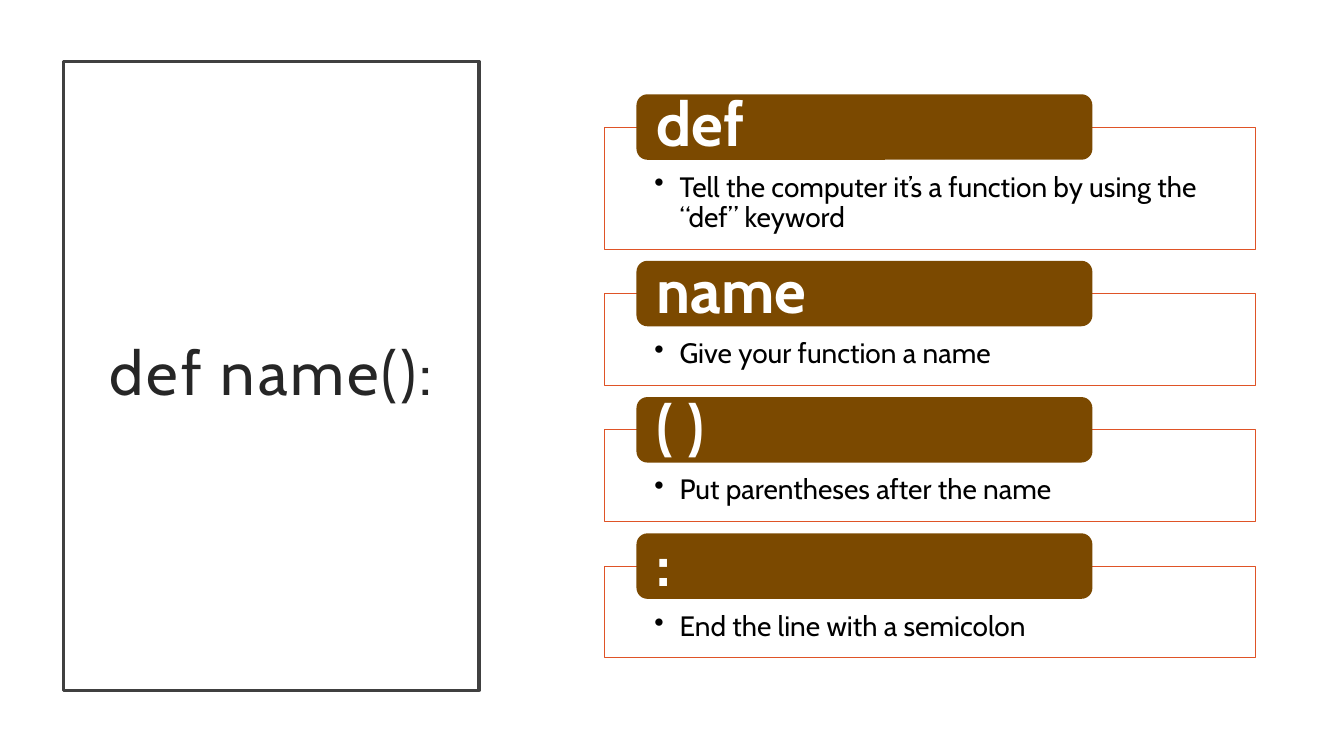
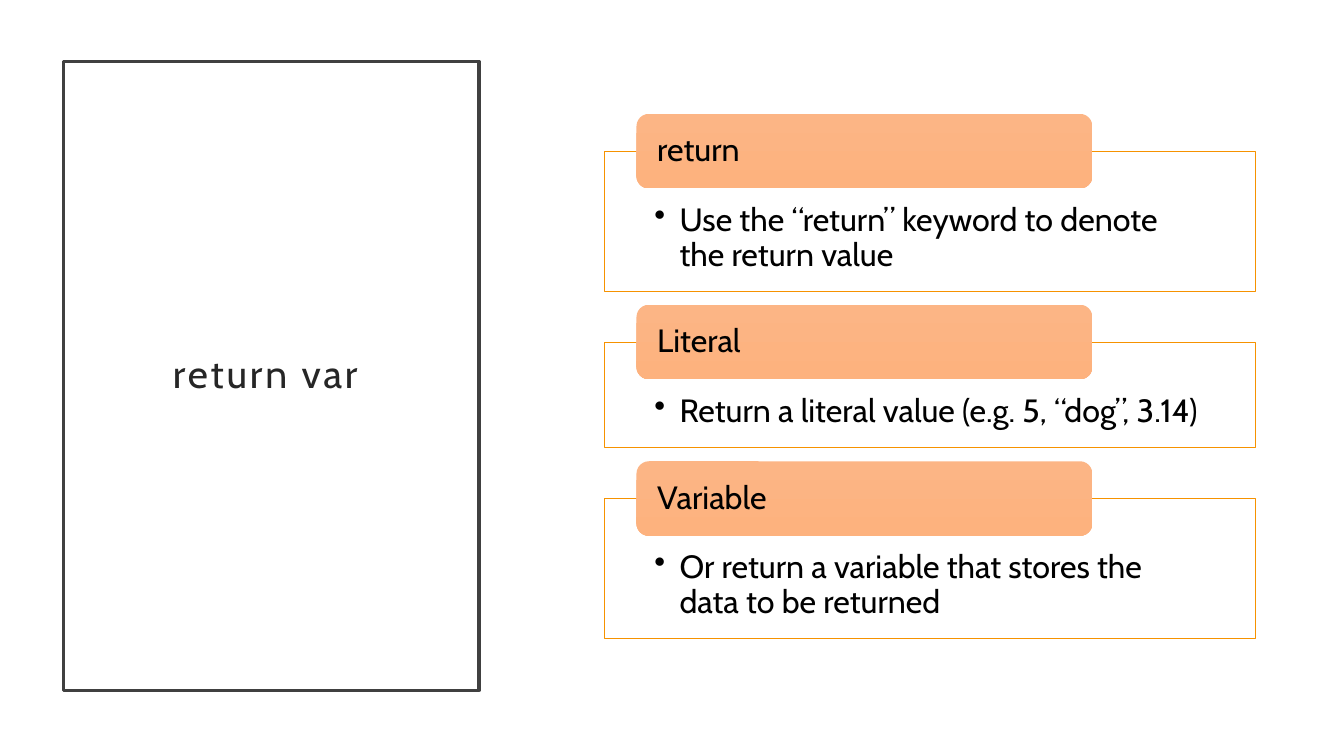
from pptx import Presentation
from pptx.dml.color import RGBColor
from pptx.enum.shapes import MSO_SHAPE as Shape
from pptx.enum.text import MSO_ANCHOR as Anchor, PP_ALIGN as Align
from pptx.oxml.ns import qn
from pptx.util import Inches, Pt
from lxml.etree import SubElement

FONT = "Cabin"
WHITE = RGBColor(0xFF, 0xFF, 0xFF)
BLACK = RGBColor(0, 0, 0)
INK = RGBColor(0x26, 0x26, 0x26)
FRAME = RGBColor(0x40, 0x40, 0x40)
RUST = RGBColor(0xDF, 0x53, 0x27)
AMBER = RGBColor(0xF6, 0x92, 0x00)
BROWN = RGBColor(0x7B, 0x49, 0x00)
PEACH = RGBColor(0xFC, 0xB5, 0x85)
APRICOT = RGBColor(0xFD, 0xB2, 0x7E)

TITLE_BOX = (0.63, 0.61, 4.12, 6.24)
LIST_LEFT, LIST_WIDTH = 5.99, 6.46


def write(shape, text, size, color, bold=False, align=Align.LEFT,
          anchor=Anchor.MIDDLE, insets=(0, 0, 0, 0), spacing=0, bullet=False):
    frame = shape.text_frame
    frame.word_wrap = True
    frame.vertical_anchor = anchor
    (frame.margin_left, frame.margin_top,
     frame.margin_right, frame.margin_bottom) = map(Inches, insets)
    paragraph = frame.paragraphs[0]
    paragraph.alignment = align
    paragraph.line_spacing = 0.9
    run = paragraph.add_run()
    run.text = text
    run.font.name = FONT
    run.font.size = Pt(size)
    run.font.bold = bold
    run.font.color.rgb = color
    if spacing:
        run.font._element.set("spc", str(spacing * 100))
    if bullet:
        properties = paragraph._p.get_or_add_pPr()
        properties.set("marL", str(Inches(0.25)))
        properties.set("indent", str(-Inches(0.25)))
        SubElement(properties, qn("a:buChar")).set("char", "•")


def add_box(slide, kind, box, fills, line=None, line_width=0, alpha=None):
    shape = slide.shapes.add_shape(kind, *map(Inches, box))
    shape.shadow.inherit = False
    if len(fills) == 1:
        shape.fill.solid()
        shape.fill.fore_color.rgb = fills[0]
    else:
        shape.fill.gradient()
        shape.fill.gradient_angle = 270
        for stop, color in zip(shape.fill.gradient_stops, fills):
            stop.color.rgb = color
    if alpha:
        rgb = shape._element.spPr.find(qn("a:solidFill")).find(qn("a:srgbClr"))
        SubElement(rgb, qn("a:alpha")).set("val", str(alpha * 1000))
    if line:
        shape.line.color.rgb = line
        shape.line.width = Pt(line_width)
    else:
        shape.line.fill.background()
    return shape


def add_title(slide, box, title, size):
    panel = add_box(slide, Shape.RECTANGLE, box, [WHITE], FRAME, 2.5)
    write(panel, title, size, INK, align=Align.CENTER, insets=(0.2,) * 4, spacing=2)


def add_entry(slide, box, heading, detail, style):
    left, top, width, height = box
    tab_height = style["tab_height"]
    panel = add_box(slide, Shape.RECTANGLE, box, [WHITE], style["line"], 0.5, alpha=90)
    write(panel, detail, style["detail_size"], BLACK, anchor=Anchor.TOP,
          insets=(0.5, tab_height * 0.7, 0.5, tab_height * 0.25), bullet=True)
    tab = add_box(slide, Shape.ROUNDED_RECTANGLE,
                  (left + width * 0.05, top - tab_height / 2, width * 0.7, tab_height),
                  style["fills"])
    write(tab, heading, style["heading_size"], style["heading_color"],
          bold=style["bold"], insets=(0.17, 0, 0.17, 0))


def add_syntax_slide(deck, title, title_size, top, entries, style):
    slide = deck.slides.add_slide(deck.slide_layouts[6])
    add_title(slide, TITLE_BOX, title, title_size)
    for heading, detail, lines in entries:
        height = style["heights"][lines]
        add_entry(slide, (LIST_LEFT, top, LIST_WIDTH, height), heading, detail, style)
        top += height + style["tab_height"] * 0.68


DEFINITION_STYLE = dict(
    tab_height=0.65, heights={1: 0.91, 2: 1.21}, fills=[BROWN], line=RUST,
    heading_size=44, heading_color=WHITE, bold=True, detail_size=20)
RETURN_STYLE = dict(
    tab_height=0.74, heights={1: 1.05, 2: 1.39}, fills=[PEACH, APRICOT], line=AMBER,
    heading_size=23, heading_color=BLACK, bold=False, detail_size=23)

deck = Presentation()
deck.slide_width, deck.slide_height = Inches(13.33), Inches(7.5)
add_syntax_slide(deck, "def name():", 44, 1.26, [
    ("def", "Tell the computer it’s a function by using the “def” keyword", 2),
    ("name", "Give your function a name", 1),
    ("( )", "Put parentheses after the name", 1),
    (":", "End the line with a semicolon", 1),
], DEFINITION_STYLE)
add_syntax_slide(deck, "return var ", 28, 1.5, [
    ("return", "Use the “return” keyword to denote the return value", 2),
    ("Literal", "Return a literal value (e.g. 5, “dog”, 3.14)", 1),
    ("Variable", "Or return a variable that stores the data to be returned", 2),
], RETURN_STYLE)
deck.save("out.pptx")
